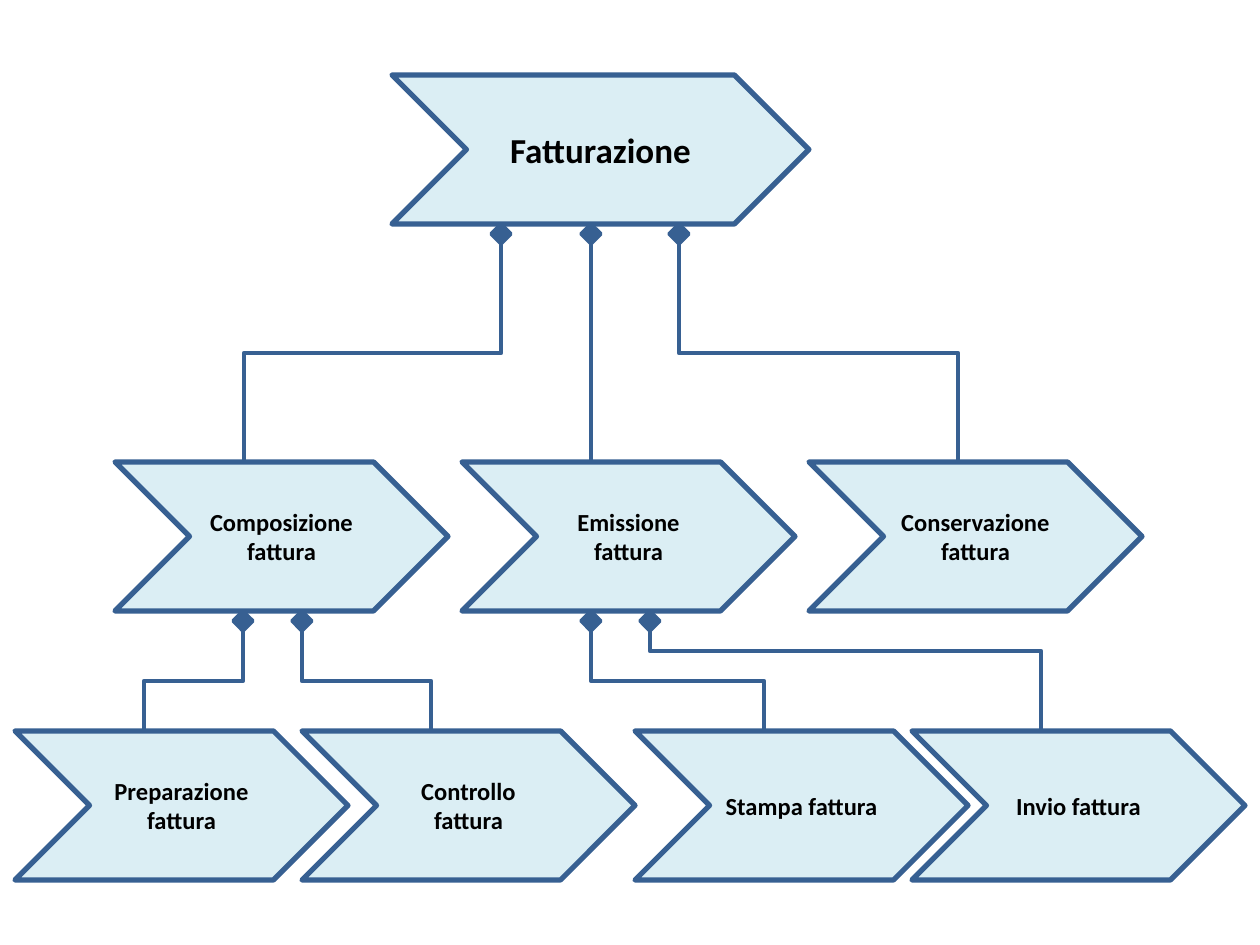
from lxml.etree import SubElement
from pptx import Presentation
from pptx.dml.color import RGBColor
from pptx.enum.shapes import MSO_CONNECTOR, MSO_SHAPE
from pptx.enum.text import MSO_ANCHOR, PP_ALIGN
from pptx.oxml.ns import qn
from pptx.util import Emu, Pt

SCALE = 914400 // 126
COLORS = {"fill": "DBEEF4", "line": "376092", "text": "000000"}
STEP_WIDTH, HEIGHT, DIAMOND = 333, 149, 20


def px(length):
    """Turn pixels into EMU."""
    return Emu(round(length * SCALE))


def color(name):
    """Look up a colour of the palette."""
    return RGBColor.from_string(COLORS[name])


def write(shape, text, size=14, bold=True, font="Calibri", tint="text"):
    """Put centred text in a shape."""
    frame = shape.text_frame
    frame.word_wrap = True
    frame.vertical_anchor = MSO_ANCHOR.MIDDLE
    para = frame.paragraphs[0]
    para.alignment = PP_ALIGN.CENTER
    span = para.add_run()
    span.text = text
    span.font.size, span.font.bold, span.font.name = Pt(size), bold, font
    span.font.color.rgb = color(tint)


def add_block(page, kind, box, fill, weight):
    """Draw a filled and outlined preset shape."""
    shape = page.shapes.add_shape(kind, *map(px, box))
    shape.shadow.inherit = False
    shape.fill.solid()
    shape.fill.fore_color.rgb = color(fill)
    shape.line.color.rgb = color("line")
    shape.line.width = Pt(weight)
    return shape


def add_link(page, start, end, bend=0.5):
    """Join two points by a line that leaves and arrives vertically."""
    (left, top), (right, bottom) = start, end
    across, down = right - left, bottom - top
    if across == 0:
        link = page.shapes.add_connector(MSO_CONNECTOR.STRAIGHT, *map(px, start + end))
    else:
        middle_x, middle_y = (left + right) / 2, (top + bottom) / 2
        half = down / 2 if across < 0 else -down / 2
        rise = abs(across) / 2
        link = page.shapes.add_connector(
            MSO_CONNECTOR.ELBOW,
            px(middle_x - half), px(middle_y - rise),
            px(middle_x + half), px(middle_y + rise))
        properties = link._element.spPr
        turn = 90 if across < 0 else 270
        properties.find(qn("a:xfrm")).set("rot", str(turn * 60000))
        guides = properties.find(qn("a:prstGeom")).get_or_add_avLst()
        SubElement(guides, qn("a:gd"), name="adj1", fmla=f"val {round(bend * 100000)}")
    link.line.color.rgb = color("line")
    link.line.width = Pt(2.5)
    SubElement(link._element.spPr, qn("a:effectLst"))


def add_step(page, text, box, size=14):
    """Draw one process step as a chevron."""
    write(add_block(page, MSO_SHAPE.CHEVRON, box, "fill", 3), text, size=size)


def add_branch(page, parent, children):
    """Draw the child steps of a parent box with their diamonds and links."""
    left, top, width, height = parent
    base = top + height
    for text, x, y, port, entry, bend in children:
        add_step(page, text, (x, y, STEP_WIDTH, HEIGHT))
        center = left + port
        add_block(page, MSO_SHAPE.FLOWCHART_DECISION,
                  (center - DIAMOND / 2, base, DIAMOND, DIAMOND), "line", 2)
        add_link(page, (center, base + DIAMOND), (x + entry, y), bend)


def build_tree(page):
    """Place the three levels of the process tree."""
    root = (392, 75, 417, HEIGHT)
    middle, low, entry = 462, 731, 129
    columns = [115 + 347 * index for index in range(3)]
    composition, emission = [(x, middle, STEP_WIDTH, HEIGHT) for x in columns[:2]]
    add_step(page, "Fatturazione", root, size=20)
    add_branch(page, root, [
        ("Composizione fattura", columns[0], middle, 109, entry, 0.5),
        ("Emissione fattura", columns[1], middle, 199, entry, 0.5),
        ("Conservazione fattura", columns[2], middle, 287, 149, 0.5)])
    add_branch(page, emission, [
        ("Stampa fattura", 635, low, 129, entry, 0.5),
        ("Invio fattura", 912, low, 188, entry, 0.2)])
    add_branch(page, composition, [
        ("Preparazione fattura", 15, low, 128, entry, 0.5),
        ("Controllo fattura", 302, low, 187, entry, 0.5)])


deck = Presentation()
deck.slide_width, deck.slide_height = px(1260), px(945)
build_tree(deck.slides.add_slide(deck.slide_layouts[6]))
deck.save("out.pptx")
